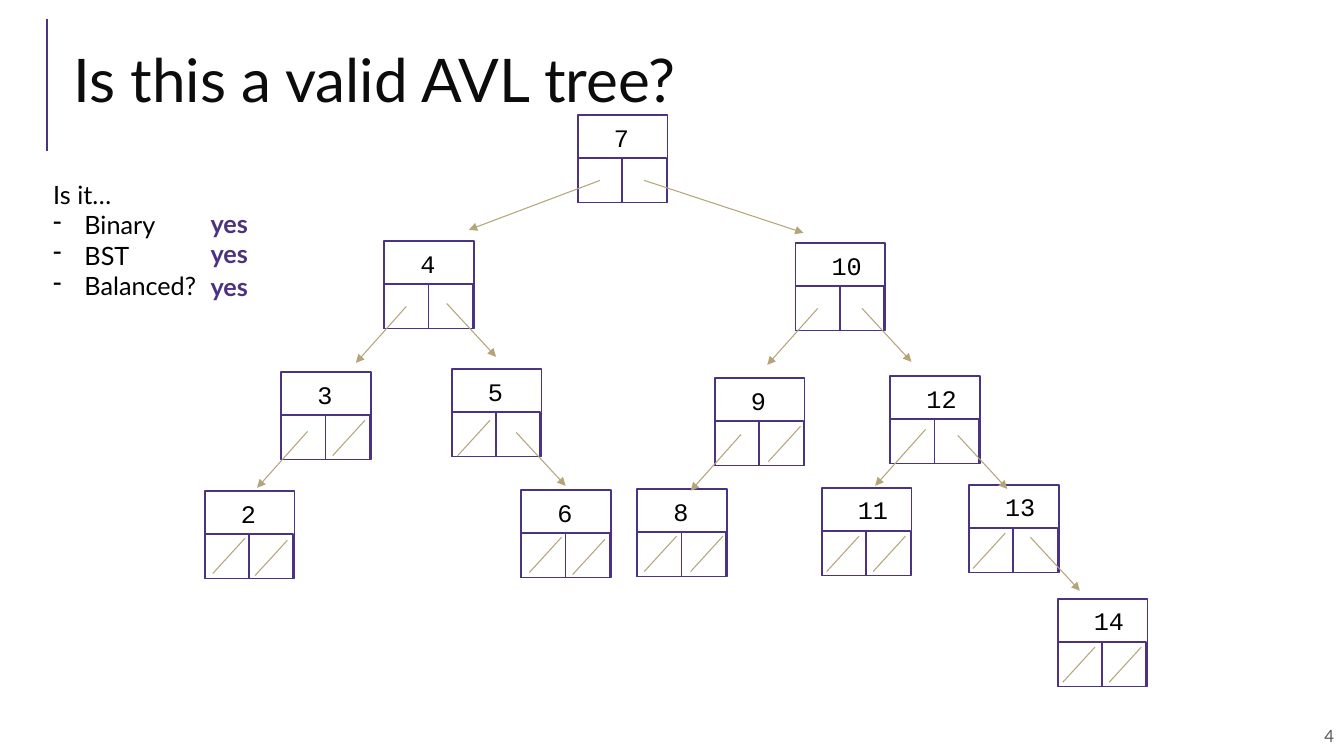
import pptx
import pptx.dml.color
import pptx.enum.shapes
import pptx.enum.text
import pptx.oxml.xmlchemy
import pptx.util
from pptx.util import Inches

PURPLE, GOLD, BLACK = "4C3282", "B6A479", "000000"
NODE_WIDTH, NODE_HEIGHT, CELL = 0.89, 0.87, 0.44
NODES = [
    ("7", 5.73, 1.14), ("4", 3.81, 2.39), ("10", 7.89, 2.41),
    ("3", 2.79, 3.69), ("5", 4.48, 3.66), ("9", 7.09, 3.75),
    ("12", 8.83, 3.73), ("2", 2.03, 4.87), ("6", 5.17, 4.86),
    ("8", 6.32, 4.85), ("11", 8.15, 4.84), ("13", 9.61, 4.81),
    ("14", 10.49, 5.94),
]
ROOT_LINKS = [((5.95, 1.79), (-1.3, 0.49)), ((6.39, 1.79), (1.58, 0.52))]
LEFT_STARTS = [(4.03, 3.04), (8.11, 3.06), (3.05, 4.28), (7.35, 4.31), (9.18, 4.26)]
RIGHT_STARTS = [(4.43, 3.01), (8.55, 3.06), (5.12, 4.29), (9.5, 4.32), (10.22, 5.33)]
LEFT_STEP, RIGHT_STEP, NULL_STEP = (-0.5, 0.56), (0.49, 0.53), (-0.32, 0.35)
NULL_STARTS = [
    (3.62, 4.17), (4.86, 4.17), (7.94, 4.23), (2.43, 5.34), (2.85, 5.36),
    (5.57, 5.33), (6, 5.35), (6.71, 5.32), (7.17, 5.32), (8.52, 5.32),
    (8.98, 5.32), (9.97, 5.29), (10.86, 6.42), (11.32, 6.42),
]


def color(value):
    """Turn a hex string into a colour."""
    return pptx.dml.color.RGBColor.from_string(value)


def add_element(parent, tag, **attributes):
    """Append a new XML element to parent and return it."""
    element = pptx.oxml.xmlchemy.OxmlElement(tag)
    for name, value in attributes.items():
        element.set(name, value)
    parent.append(element)
    return element


def add_line(slide, start, step, line_color=GOLD, width=0.75, arrow=False):
    """Draw a straight line from start by step, with an optional arrowhead."""
    end = (start[0] + step[0], start[1] + step[1])
    connector = slide.shapes.add_connector(
        pptx.enum.shapes.MSO_CONNECTOR.STRAIGHT, *map(Inches, start + end))
    connector.line.color.rgb = color(line_color)
    connector.line.width = pptx.util.Pt(width)
    properties = connector._element.spPr
    if arrow:
        add_element(properties.ln, "a:tailEnd", type="triangle")
    add_element(properties, "a:effectLst")


def add_dash(paragraph):
    """Give a paragraph a hanging dash bullet."""
    properties = paragraph._p.get_or_add_pPr()
    properties.set("marL", str(Inches(0.31)))
    properties.set("indent", str(Inches(-0.31)))
    add_element(add_element(properties, "a:buClr"), "a:srgbClr", val=BLACK)
    add_element(properties, "a:buChar", char="-")


def add_text(shapes, position, lines, size=18, font="Lato", text_color=BLACK,
             bold=False, align=None, middle=False, spacing=None):
    """Add a text box; lines that follow the first are dashed items."""
    box = shapes.add_textbox(*map(Inches, position))
    frame = box.text_frame
    frame.word_wrap = True
    if middle:
        frame.vertical_anchor = pptx.enum.text.MSO_ANCHOR.MIDDLE
    frame.text = "\n".join(lines)
    for index, paragraph in enumerate(frame.paragraphs):
        if index:
            add_dash(paragraph)
        paragraph.alignment = align
        paragraph.line_spacing = spacing
        paragraph.font.size = pptx.util.Pt(size)
        paragraph.font.name = font
        paragraph.font.bold = bold
        paragraph.font.color.rgb = color(text_color)


def add_node(slide, key, left, top):
    """Draw a tree node: a key above two child cells."""
    group = slide.shapes.add_group_shape()
    cell_top = top + NODE_HEIGHT - CELL
    for position in (
        (left, top, NODE_WIDTH, NODE_HEIGHT),
        (left, cell_top, CELL, CELL),
        (left + CELL, cell_top, CELL, CELL),
    ):
        shape = group.shapes.add_shape(
            pptx.enum.shapes.MSO_SHAPE.RECTANGLE, *map(Inches, position))
        shape.shadow.inherit = False
        shape.fill.background()
        shape.line.color.rgb = color(PURPLE)
        shape.line.width = pptx.util.Pt(1.25)
    width = 0.2 + 0.15 * len(key)
    add_text(group.shapes, (left + 0.26, top + 0.02, width, 0.4), [key], font="Courier New")


def main():
    """Build the slide and save it."""
    presentation = pptx.Presentation()
    presentation.slide_width = Inches(13.33)
    presentation.slide_height = Inches(7.5)
    slide = presentation.slides.add_slide(presentation.slide_layouts[6])

    add_line(slide, (0.47, 1.5), (0, -1.31), PURPLE, 1.5)
    add_text(slide.shapes, (0.63, 0.29, 12.23, 1.11), ["Is this a valid AVL tree?"],
             size=43, text_color="0C0C0C", middle=True, spacing=0.8)
    add_text(slide.shapes, (8.65, 7.1, 4.68, 0.4), ["4"], size=12, text_color="595959",
             align=pptx.enum.text.PP_ALIGN.RIGHT, middle=True)

    for node in NODES:
        add_node(slide, *node)
    links = ROOT_LINKS + [(start, LEFT_STEP) for start in LEFT_STARTS]
    links += [(start, RIGHT_STEP) for start in RIGHT_STARTS]
    for start, step in links:
        add_line(slide, start, step, arrow=True)
    for start in NULL_STARTS:
        add_line(slide, start, NULL_STEP)

    add_text(slide.shapes, (0.43, 1.73, 1.63, 1.31), ["Is it…", "Binary", "BST", "Balanced?"])
    for top in (2.02, 2.32, 2.64):
        add_text(slide.shapes, (1.99, top, 0.58, 0.4), ["yes"], text_color=PURPLE, bold=True)

    presentation.save("out.pptx")


if __name__ == "__main__":
    main()
